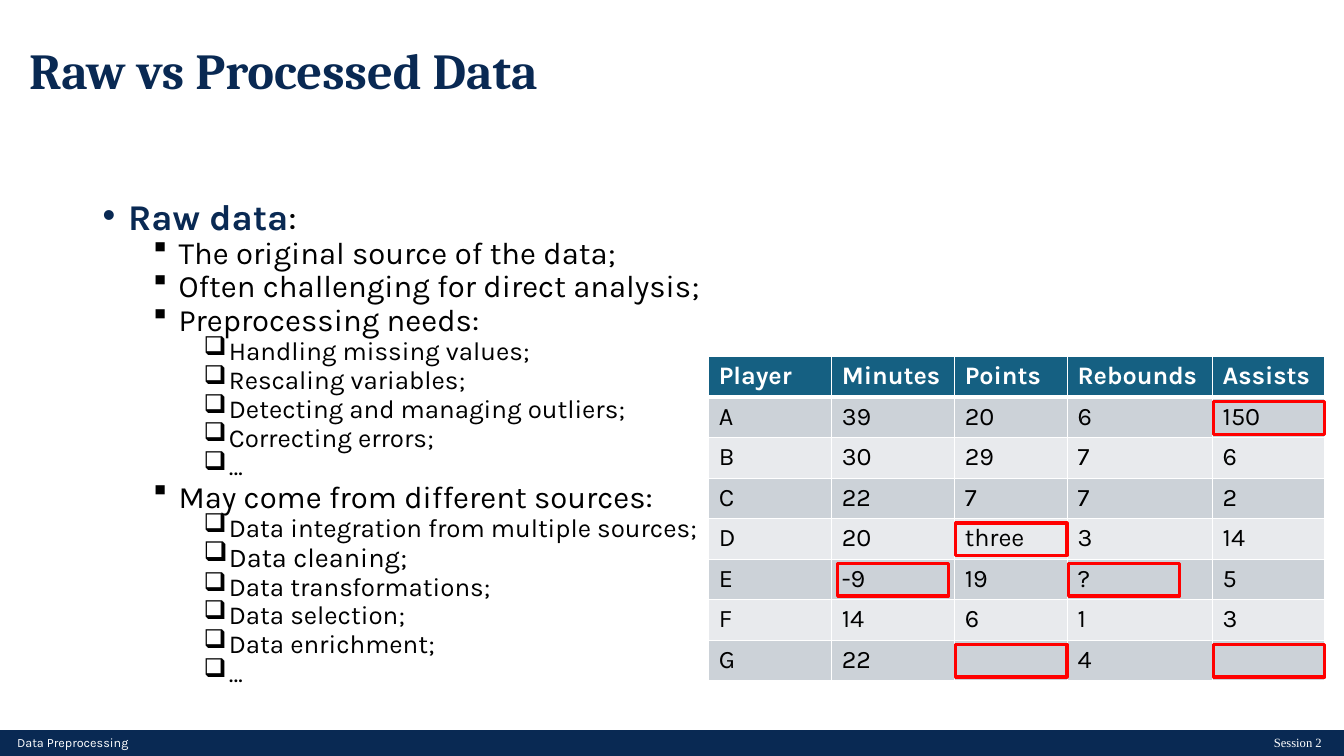
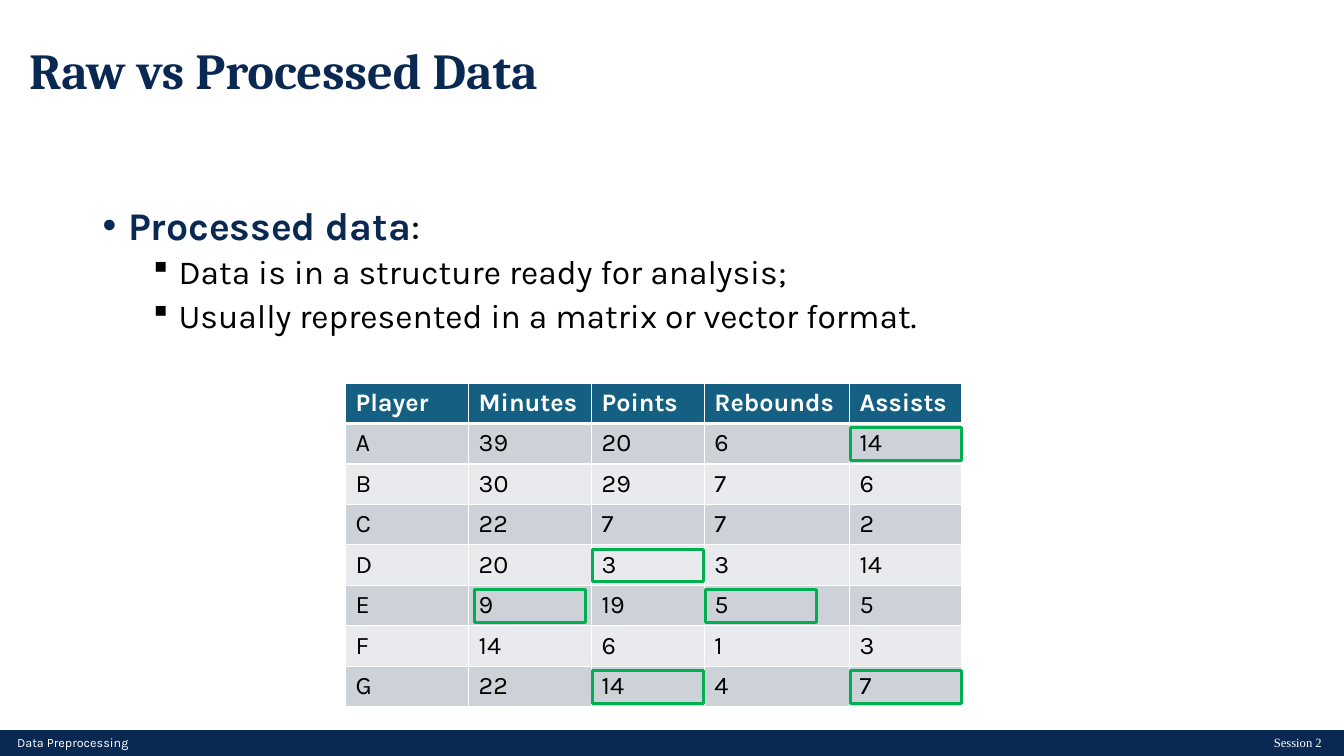
from dataclasses import dataclass
from itertools import accumulate

from lxml.etree import SubElement
from pptx import Presentation
from pptx.dml.color import RGBColor
from pptx.enum.shapes import MSO_SHAPE
from pptx.enum.text import MSO_ANCHOR, MSO_AUTO_SIZE, PP_ALIGN
from pptx.oxml.ns import qn
from pptx.util import Cm, Pt


@dataclass(frozen=True)
class Theme:
    navy: str = "092953"
    header: str = "156082"
    bands: tuple = ("CCD2D8", "E8EAED")
    white: str = "FFFFFF"
    black: str = "000000"
    error: str = "FF0000"
    fixed: str = "00B050"
    title_font: str = "Cambria"
    body_font: str = "Karla"
    session_font: str = "Times New Roman"
    title_size: float = 36
    level_sizes: tuple = (28, 24, 20)
    table_size: float = 18
    footer_size: float = 9


THEME = Theme()
WIDTH, HEIGHT = 33.87, 19.05
BULLETS = (("Arial", "•"), ("Wingdings", "§"), ("Wingdings", "q"))
COLUMN_WIDTHS = (3.1, 3.1, 2.84, 3.66, 2.82)
ROW_HEIGHT = 1.02
TITLE = "Raw vs Processed Data"

RAW_POINTS = [
    (0, "Raw data"),
    (1, "The original source of the data;"),
    (1, "Often challenging for direct analysis;"),
    (1, "Preprocessing needs:"),
    (2, "Handling missing values;"),
    (2, "Rescaling variables;"),
    (2, "Detecting and managing outliers;"),
    (2, "Correcting errors;"),
    (2, "…"),
    (1, "May come from different sources:"),
    (2, "Data integration from multiple sources;"),
    (2, "Data cleaning;", 21),
    (2, "Data transformations;"),
    (2, "Data selection;"),
    (2, "Data enrichment;"),
    (2, "…"),
]
PROCESSED_POINTS = [
    (0, "Processed data"),
    (1, "Data is in a structure ready for analysis;"),
    (1, "Usually represented in a matrix or vector format."),
]

RAW_ROWS = [
    ("Player", "Minutes", "Points", "Rebounds", "Assists"),
    ("A", "39", "20", "6", "150"),
    ("B", "30", "29", "7", "6"),
    ("C", "22", "7", "7", "2"),
    ("D", "20", "three", "3", "14"),
    ("E", "-9", "19", "?", "5"),
    ("F", "14", "6", "1", "3"),
    ("G", "22", "", "4", ""),
]
# (row, column) of each faulty value and its correction
CORRECTIONS = {(5, 1): "9", (4, 2): "3", (7, 2): "14", (7, 4): "7", (5, 3): "5", (1, 4): "14"}
PROCESSED_ROWS = [
    [CORRECTIONS.get((i, j), value) for j, value in enumerate(row)]
    for i, row in enumerate(RAW_ROWS)
]


def add_text(p, text, size, color=THEME.black, font=THEME.body_font, bold=False):
    r = p.add_run()
    r.text = text
    r.font.size = Pt(size)
    r.font.name = font
    r.font.bold = bold
    r.font.color.rgb = RGBColor.from_string(color)


def set_bullet(p, level):
    """Hang the bullet of a list level 0.64 cm left of its text."""
    pPr = p._p.get_or_add_pPr()
    pPr.set("marL", str(Cm(0.64 + 1.27 * level)))
    pPr.set("indent", str(Cm(-0.64)))
    font, char = BULLETS[level]
    SubElement(pPr, qn("a:buFont"), typeface=font)
    SubElement(pPr, qn("a:buChar"), char=char)


def set_borders(cell, color, **widths):
    """Draw cell edges; widths maps L, R, T, B to points."""
    tcPr = cell._tc.get_or_add_tcPr()
    for side, width in widths.items():
        ln = SubElement(tcPr, qn(f"a:ln{side}"), w=str(Pt(width)))
        fill = SubElement(ln, qn("a:solidFill"))
        SubElement(fill, qn("a:srgbClr"), val=color)


class Deck:
    def __init__(self, theme):
        self.theme = theme
        self.prs = Presentation()
        self.prs.slide_width, self.prs.slide_height = Cm(WIDTH), Cm(HEIGHT)
        self.slide = None

    def new_slide(self, title):
        t = self.theme
        self.slide = self.prs.slides.add_slide(self.prs.slide_layouts[5])
        sp = self.slide.shapes.title
        sp.left, sp.top, sp.width, sp.height = Cm(0.48), Cm(0), Cm(29.21), Cm(3.68)
        tf = sp.text_frame
        tf.auto_size = MSO_AUTO_SIZE.NONE
        tf.vertical_anchor = MSO_ANCHOR.MIDDLE
        p = tf.paragraphs[0]
        p.alignment = PP_ALIGN.LEFT
        p.line_spacing = 0.9
        add_text(p, title, t.title_size, t.navy, t.title_font, bold=True)
        self.footer()

    def footer(self):
        t = self.theme
        self.rectangle(0, 18.41, WIDTH, 0.64, t.navy, 1.5, fill=t.navy)
        for left, text, font, align in (
            (0.18, "Data Preprocessing", t.body_font, PP_ALIGN.LEFT),
            (14.66, "Session 2", t.session_font, PP_ALIGN.RIGHT),
        ):
            tf = self.text_box(left, 18.39, 18.9, 0.64)
            tf.auto_size = MSO_AUTO_SIZE.SHAPE_TO_FIT_TEXT
            p = tf.paragraphs[0]
            p.alignment = align
            add_text(p, text, t.footer_size, t.white, font)

    def text_box(self, left, top, width, height):
        sp = self.slide.shapes.add_textbox(Cm(left), Cm(top), Cm(width), Cm(height))
        sp.text_frame.word_wrap = True
        return sp.text_frame

    def rectangle(self, left, top, width, height, line, line_width, fill=None):
        sp = self.slide.shapes.add_shape(
            MSO_SHAPE.RECTANGLE, Cm(left), Cm(top), Cm(width), Cm(height))
        sp.shadow.inherit = False
        sp.line.color.rgb = RGBColor.from_string(line)
        sp.line.width = Pt(line_width)
        if fill:
            sp.fill.solid()
            sp.fill.fore_color.rgb = RGBColor.from_string(fill)
        else:
            sp.fill.background()

    def bullets(self, points, height, line_spacing, scale=1):
        """List (level, text[, size]) points; level 0 is a heading."""
        t = self.theme
        tf = self.text_box(2.34, 5.08, 29.21, height)
        for i, (level, text, *custom) in enumerate(points):
            p = tf.add_paragraph() if i else tf.paragraphs[0]
            p.level = level
            p.alignment = PP_ALIGN.JUSTIFY
            p.line_spacing = line_spacing
            p.space_before = Pt(5 if i else 0)
            set_bullet(p, level)
            size = round((custom or [t.level_sizes[level]])[0] * scale, 1)
            if level == 0:
                add_text(p, text, size, t.navy, bold=True)
                add_text(p, ":", size)
            else:
                add_text(p, text, size)

    def table(self, rows, left, top):
        t = self.theme
        table = self.slide.shapes.add_table(
            len(rows), len(COLUMN_WIDTHS), Cm(left), Cm(top),
            Cm(sum(COLUMN_WIDTHS)), Cm(ROW_HEIGHT * len(rows))).table
        for column, width in zip(table.columns, COLUMN_WIDTHS):
            column.width = Cm(width)
        for i, row in enumerate(rows):
            table.rows[i].height = Cm(ROW_HEIGHT)
            header = i == 0
            fill = t.header if header else t.bands[(i - 1) % 2]
            for j, value in enumerate(row):
                cell = table.cell(i, j)
                set_borders(cell, t.white, L=1, R=1, T=3 if i == 1 else 1, B=3 if header else 1)
                cell.fill.solid()
                cell.fill.fore_color.rgb = RGBColor.from_string(fill)
                if value:
                    add_text(cell.text_frame.paragraphs[0], value, t.table_size,
                             t.white if header else t.black, bold=header)

    def highlights(self, cells, left, top, color):
        """Frame the given (row, column) cells of the table at left, top."""
        edges = list(accumulate(COLUMN_WIDTHS, initial=left))
        for row, column in cells:
            inset = 0.15 if column == 1 else 0.03
            self.rectangle(edges[column] + inset, top + row * ROW_HEIGHT + 0.11,
                           2.8, 0.82, color, 2.25)

    def marked_table(self, rows, left, top, color):
        self.table(rows, left, top)
        self.highlights(CORRECTIONS, left, top, color)


def main():
    deck = Deck(THEME)

    deck.new_slide(TITLE)
    deck.bullets(RAW_POINTS, height=12.88, line_spacing=0.7, scale=0.925)
    deck.marked_table(RAW_ROWS, 17.86, 8.99, THEME.error)

    deck.new_slide(TITLE)
    deck.bullets(PROCESSED_POINTS, height=12.09, line_spacing=0.9)
    deck.marked_table(PROCESSED_ROWS, 8.71, 9.65, THEME.fixed)

    deck.prs.save("out.pptx")


if __name__ == "__main__":
    main()
